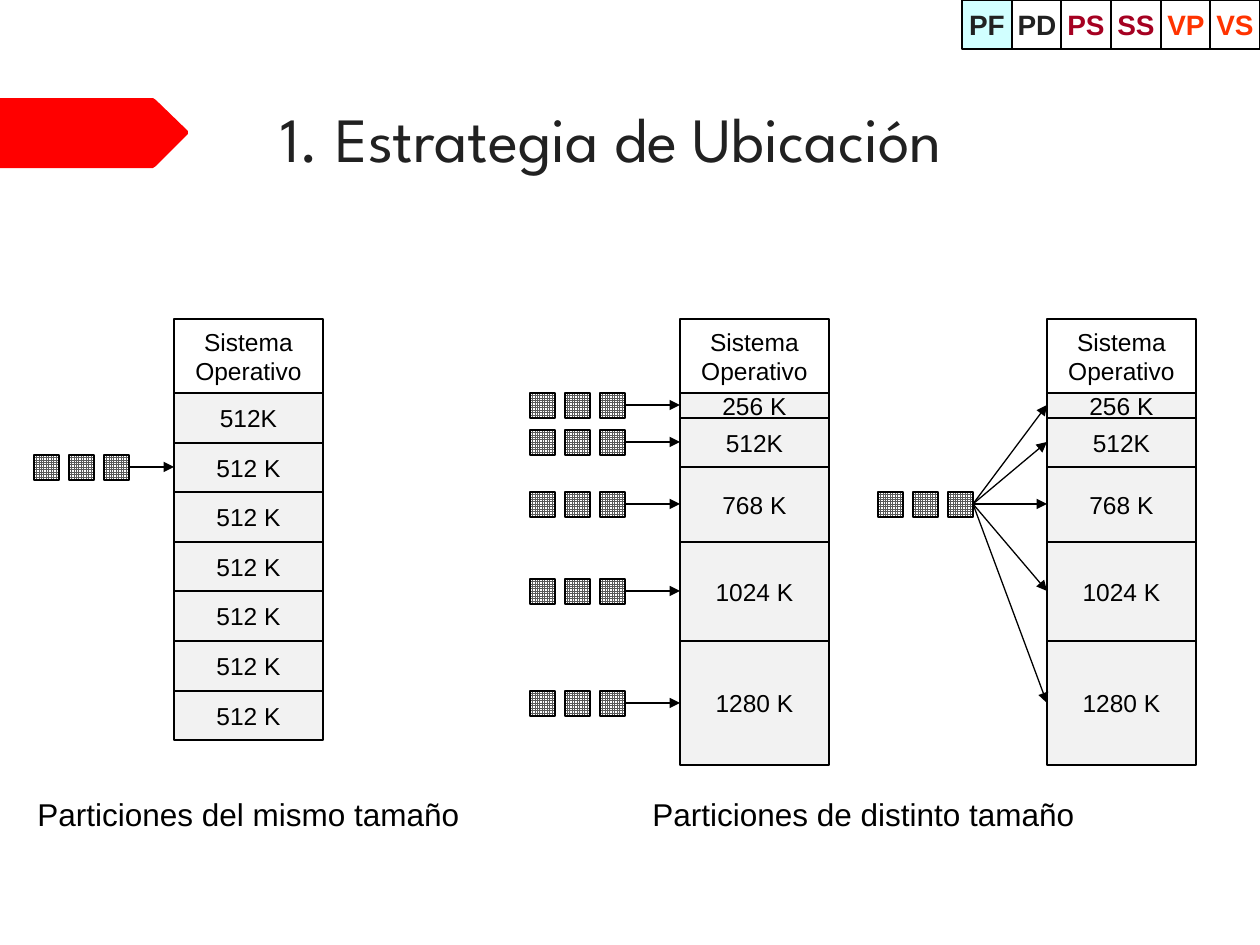
from lxml.etree import SubElement
from pptx import Presentation
from pptx.dml.color import RGBColor
from pptx.enum.dml import MSO_PATTERN
from pptx.enum.shapes import MSO_CONNECTOR, MSO_SHAPE
from pptx.enum.text import MSO_ANCHOR, PP_ALIGN
from pptx.oxml.ns import qn
from pptx.util import Inches, Pt

PX = 7257
BLACK = RGBColor(0x00, 0x00, 0x00)
WHITE = RGBColor(0xFF, 0xFF, 0xFF)
INK = RGBColor(0x21, 0x21, 0x21)
RED = RGBColor(0xFF, 0x00, 0x00)
GRID = RGBColor(0x59, 0x59, 0x59)
SILVER = RGBColor(0xC0, 0xC0, 0xC0)
CYAN = RGBColor(0xD1, 0xFF, 0xFF)
WINE = RGBColor(0xA5, 0x00, 0x21)
ORANGE = RGBColor(0xFF, 0x33, 0x00)


def write(sp, text, size=14, color=BLACK, font="Arial", bold=False,
          align=PP_ALIGN.CENTER, anchor=MSO_ANCHOR.MIDDLE, wrap=True, inset=None):
    tf = sp.text_frame
    tf.word_wrap = wrap
    tf.vertical_anchor = anchor
    if inset is not None:
        tf.margin_left = tf.margin_right = tf.margin_top = tf.margin_bottom = inset * PX
    p = tf.paragraphs[0]
    p.alignment = align
    r = p.add_run()
    r.text = text
    r.font.size = Pt(size)
    r.font.name = font
    r.font.bold = bold
    r.font.color.rgb = color


def add_box(x, y, w, h, fill=None):
    sp = s.shapes.add_shape(MSO_SHAPE.RECTANGLE, x * PX, y * PX, w * PX, h * PX)
    sp.shadow.inherit = False
    sp.line.color.rgb = BLACK
    sp.line.width = Pt(0.75)
    if fill is None:
        sp.fill.background()
    else:
        sp.fill.solid()
        sp.fill.fore_color.rgb = fill
    return sp


prs = Presentation()
prs.slide_width, prs.slide_height = Inches(10), Inches(7.5)
s = prs.slides.add_slide(prs.slide_layouts[5])

fb = s.shapes.build_freeform(0, 98, scale=PX)
fb.add_line_segments([(153, 98), (156, 100), (188, 131), (188, 134),
                      (156, 166), (153, 168), (0, 168)])
banner = fb.convert_to_shape()
banner.shadow.inherit = False
banner.fill.solid()
banner.fill.fore_color.rgb = RED
banner.line.fill.background()

title = s.shapes.title
title.left, title.top, title.width, title.height = 268 * PX, 86 * PX, 908 * PX, 176 * PX
write(title, "1. Estrategia de Ubicación", size=36, color=INK, font="League Spartan",
      align=PP_ALIGN.LEFT, anchor=MSO_ANCHOR.TOP, inset=13)

equal = [(512, "512K")] + [(512, "512 K")] * 6
mixed = [(256, "256 K"), (512, "512K"), (768, "768 K"), (1024, "1024 K"), (1280, "1280 K")]
arrows = []
for x, partitions, queue_end, queue_rows, targets in [
    (174, equal, 129, [1], [1]),
    (680, mixed, 625, range(5), range(5)),
    (1047, mixed, 973, [2], range(5)),
]:
    write(add_box(x, 319, 149, 74), "Sistema Operativo", inset=5)
    middles = []
    used = 0
    for size, label in partitions:
        top = 393 + round(used * 31 / 320)
        used += size
        bottom = 393 + round(used * 31 / 320)
        sp = add_box(x, top, 149, bottom - top, SILVER)
        color = sp.fill._xPr.find(qn("a:solidFill"))[0]
        SubElement(color, qn("a:alpha"), val="20000")
        write(sp, label)
        middles.append((top + bottom) // 2)

    for row in queue_rows:
        for i in range(3):
            sp = add_box(queue_end - 25 - 35 * i, middles[row] - 12, 25, 25)
            sp.fill.patterned()
            sp.fill.pattern = MSO_PATTERN.SMALL_GRID
            sp.fill.fore_color.rgb = GRID
            sp.fill.back_color.rgb = WHITE
    for row in targets:
        source = row if row in queue_rows else queue_rows[0]
        arrows.append((queue_end, middles[source], x, middles[row]))

for x1, y1, x2, y2 in arrows:
    c = s.shapes.add_connector(MSO_CONNECTOR.STRAIGHT, x1 * PX, y1 * PX, x2 * PX, y2 * PX)
    c.line.color.rgb = BLACK
    c.line.width = Pt(0.75)
    SubElement(c.line._get_or_add_ln(), qn("a:tailEnd"), type="triangle")
    SubElement(c._element.spPr, qn("a:effectLst"))

for x, text in [(25, "Particiones del mismo tamaño"), (640, "Particiones de distinto tamaño")]:
    tb = s.shapes.add_textbox(x * PX, 789 * PX, 447 * PX, 50 * PX)
    write(tb, text, size=18, align=PP_ALIGN.LEFT, anchor=MSO_ANCHOR.TOP, wrap=False)

tabs = [("PF", INK, CYAN), ("PD", INK, WHITE), ("PS", WINE, WHITE),
        ("SS", WINE, WHITE), ("VP", ORANGE, WHITE), ("VS", ORANGE, WHITE)]
for i, (text, color, fill) in enumerate(tabs):
    sp = add_box(962 + round(i * 298 / 6), 0, 50, 49, fill)
    write(sp, text, size=16, color=color, bold=True, wrap=False)

prs.save("out.pptx")
